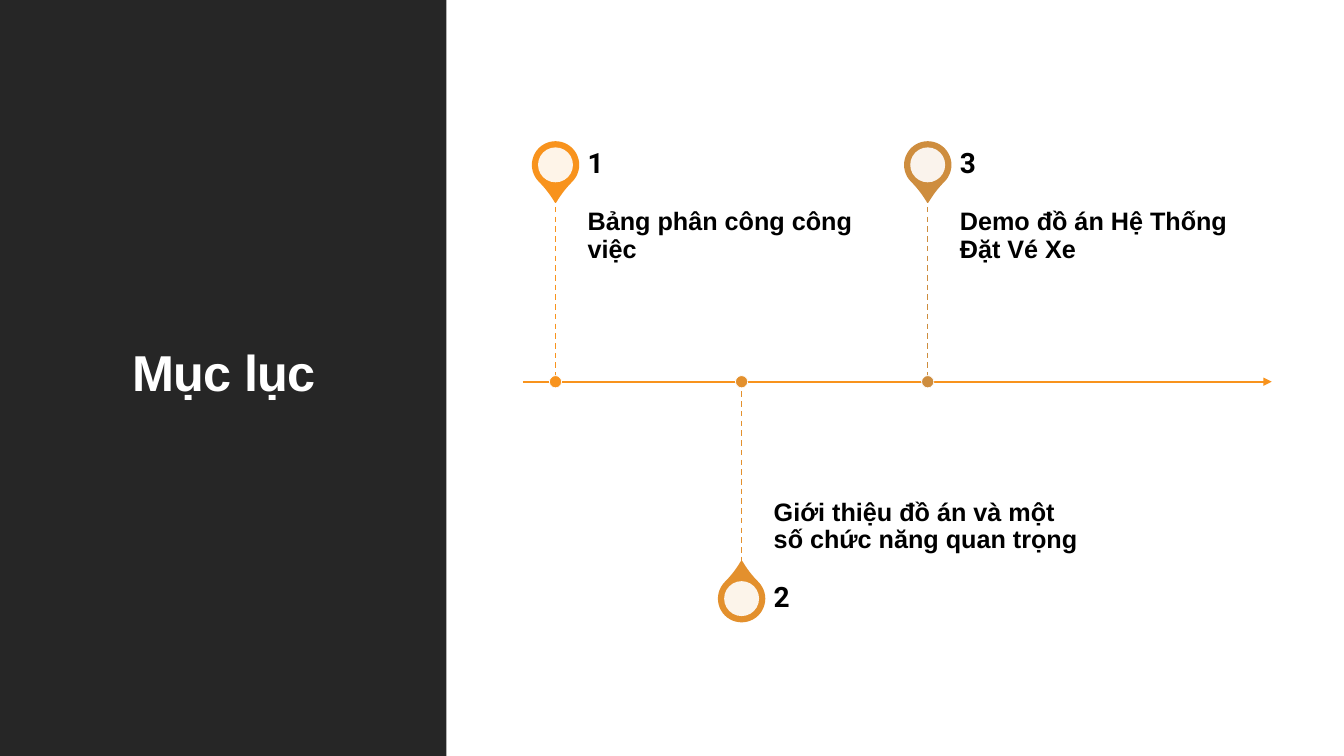
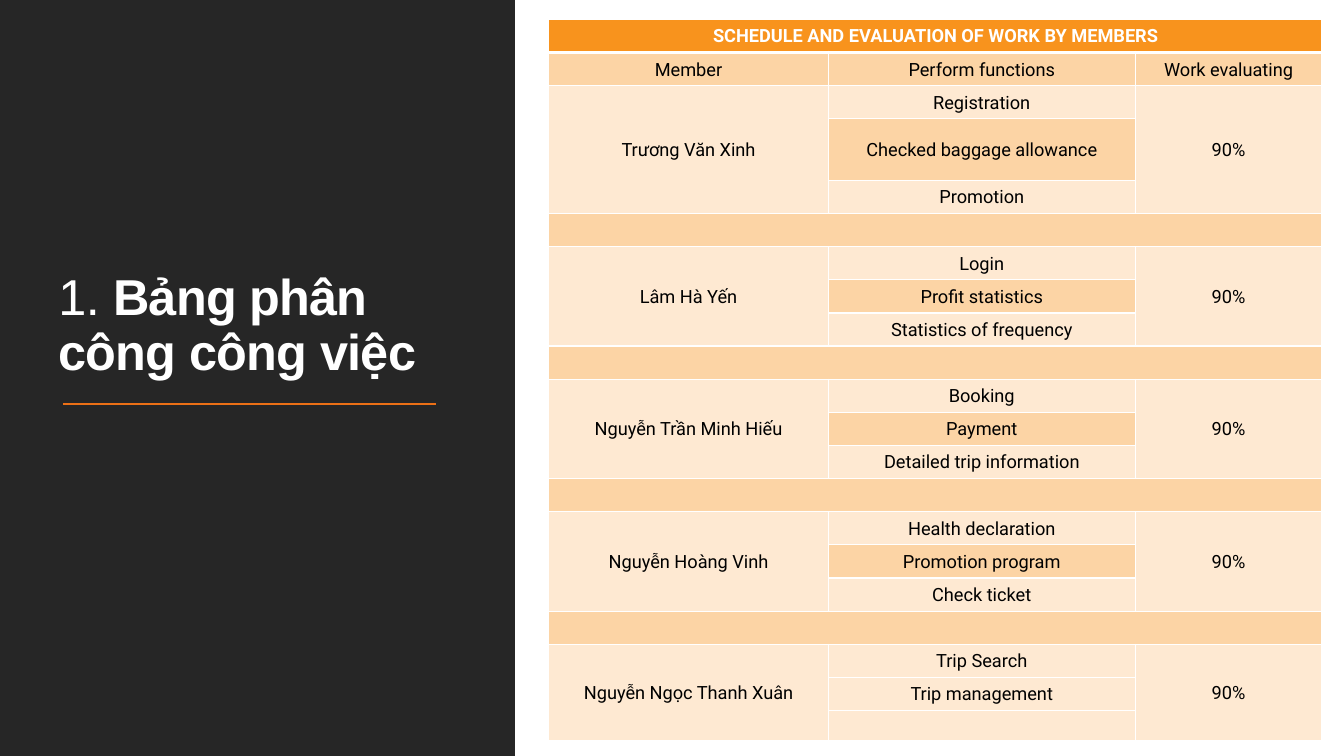
import pptx
import pptx.dml.color
import pptx.enum.dml
import pptx.enum.shapes
import pptx.enum.text
import pptx.oxml.ns
import pptx.util
from lxml import etree

Cm = pptx.util.Cm
Pt = pptx.util.Pt
RGBColor = pptx.dml.color.RGBColor
SHAPE = pptx.enum.shapes.MSO_SHAPE
ANCHOR = pptx.enum.text.MSO_ANCHOR
ALIGN = pptx.enum.text.PP_ALIGN
qn = pptx.oxml.ns.qn

WHITE = RGBColor(0xFF, 0xFF, 0xFF)
BLACK = RGBColor(0x00, 0x00, 0x00)
DARK = RGBColor(0x26, 0x26, 0x26)
ORANGE = RGBColor(0xF8, 0x93, 0x1D)
AMBER = RGBColor(0xE3, 0x90, 0x2D)
BRONZE = RGBColor(0xCE, 0x8D, 0x3E)
RULE_ORANGE = RGBColor(0xEC, 0x70, 0x16)
PEACH = RGBColor(0xFC, 0xD4, 0xA5)
CREAM = RGBColor(0xFE, 0xE9, 0xD2)


def add_shape(slide, kind, left, top, width, height, fill, line=None, line_width=1):
    shape = slide.shapes.add_shape(kind, Cm(left), Cm(top), Cm(width), Cm(height))
    shape.shadow.inherit = False
    shape.fill.solid()
    shape.fill.fore_color.rgb = fill
    if line is None:
        shape.line.fill.background()
    else:
        shape.line.color.rgb = line
        shape.line.width = Pt(line_width)
    return shape


def add_line(slide, x1, y1, x2, y2, color, width):
    line = slide.shapes.add_connector(
        pptx.enum.shapes.MSO_CONNECTOR.STRAIGHT, Cm(x1), Cm(y1), Cm(x2), Cm(y2))
    line.line.color.rgb = color
    line.line.width = Pt(width)
    etree.SubElement(line._element.spPr, qn("a:effectLst"))
    return line


presentation = pptx.Presentation()
presentation.slide_width = Cm(33.87)
presentation.slide_height = Cm(19.05)

# Dark side panel and title of every slide
title_specs = [
    (11.25, (1.37, 1.45, 8.56, 16.03), ANCHOR.MIDDLE, ALIGN.CENTER,
     [("Mục lục", True)]),
    (12.98, (1.22, 1.78, 10.16, 7.95), ANCHOR.BOTTOM, ALIGN.LEFT,
     [("1. ", False), ("Bảng phân công công việc", True)]),
]
for panel_width, box, anchor, alignment, parts in title_specs:
    slide = presentation.slides.add_slide(presentation.slide_layouts[5])
    panel = add_shape(slide, SHAPE.RECTANGLE, 0, 0, panel_width, 19.05, DARK)
    slide.shapes._spTree.insert(2, panel._element)
    title = slide.shapes.title
    title.left, title.top, title.width, title.height = [Cm(value) for value in box]
    title.text_frame.vertical_anchor = anchor
    title.text_frame.auto_size = pptx.enum.text.MSO_AUTO_SIZE.NONE
    paragraph = title.text_frame.paragraphs[0]
    paragraph.alignment = alignment
    paragraph.line_spacing = 0.9
    for text, bold in parts:
        run = paragraph.add_run()
        run.text = text
        run.font.name = "Arial"
        run.font.size = Pt(36)
        run.font.bold = bold
        run.font.color.rgb = WHITE
        run.font._element.set("spc", "-50")
contents_slide, schedule_slide = presentation.slides

# Contents: timeline axis
AXIS_Y = 9.62
axis = add_line(contents_slide, 13.18, AXIS_Y, 32.05, AXIS_Y, ORANGE, 1.5)
etree.SubElement(axis.line._get_or_add_ln(), qn("a:tailEnd"), type="triangle")

# Contents: milestones, alternately above and below the axis
FIRST_X, STEP_X = 14.0, 4.69
STEM, NUMBER_HEIGHT = 4.65, 1.63
PIN, HOLE, NODE = 1.15, 0.88, 0.31
milestones = [
    ("Bảng phân công công việc", ORANGE),
    ("Giới thiệu đồ án và một số chức năng quan trọng", AMBER),
    ("Demo đồ án Hệ Thống Đặt Vé Xe", BRONZE),
]
for index, (label, color) in enumerate(milestones):
    above = index % 2 == 0
    direction = -1 if above else 1
    x = FIRST_X + index * STEP_X
    stem_end = AXIS_Y + direction * STEM
    pin_y = stem_end + direction * NUMBER_HEIGHT / 2

    pin = add_shape(contents_slide, SHAPE.TEAR, x - PIN / 2, pin_y - PIN / 2,
                    PIN, PIN, color, color, 1.25)
    pin.adjustments[0] = 1.15
    pin.rotation = 135 if above else 315
    hole = add_shape(contents_slide, SHAPE.OVAL, x - HOLE / 2, pin_y - HOLE / 2,
                     HOLE, HOLE, WHITE)
    hole_color = hole._element.spPr.find(".//" + qn("a:srgbClr"))
    etree.SubElement(hole_color, qn("a:alpha"), val="90000")

    label_anchor = ANCHOR.TOP if above else ANCHOR.BOTTOM
    label_margins = (0.3, 0.3, 0.48) if above else (0, 0.48, 0.3)
    text_specs = [
        (label, min(AXIS_Y, stem_end), STEM, label_anchor, label_margins, "Arial", 18),
        (str(index + 1), pin_y - NUMBER_HEIGHT / 2, NUMBER_HEIGHT, ANCHOR.MIDDLE,
         (0.36, 0, 0), "Roboto", 20),
    ]
    for text, top, height, anchor, margins, font, size in text_specs:
        text_box = contents_slide.shapes.add_textbox(
            Cm(x + 0.81), Cm(top), Cm(7.82), Cm(height))
        frame = text_box.text_frame
        frame.word_wrap = True
        frame.vertical_anchor = anchor
        frame.margin_left = 0
        frame.margin_right, frame.margin_top, frame.margin_bottom = [
            Cm(margin) for margin in margins]
        frame.text = text
        paragraph = frame.paragraphs[0]
        paragraph.line_spacing = 0.9
        run = paragraph.runs[0]
        run.font.name = font
        run.font.size = Pt(size)
        run.font.bold = True
        run.font.color.rgb = BLACK

    stem = add_line(contents_slide, x, min(AXIS_Y, stem_end),
                    x, max(AXIS_Y, stem_end), color, 1)
    stem.line.dash_style = pptx.enum.dml.MSO_LINE.DASH
    add_shape(contents_slide, SHAPE.OVAL, x - NODE / 2, AXIS_Y - NODE / 2,
              NODE, NODE, color, WHITE, 0.5)

# Schedule: rule under the title
add_line(schedule_slide, 1.6, 10.19, 11, 10.19, RULE_ORANGE, 1.5)

# Schedule: rows of text and fills, three per member with a band between members
members = [
    ("Trương Văn Xinh", ["Registration", "Checked baggage allowance", "Promotion"]),
    ("Lâm Hà Yến", ["Login", "Profit statistics", "Statistics of frequency"]),
    ("Nguyễn Trần Minh Hiếu", ["Booking", "Payment", "Detailed trip information"]),
    ("Nguyễn Hoàng Vinh", ["Health declaration", "Promotion program", "Check ticket"]),
    ("Nguyễn Ngọc Thanh Xuân", ["Trip Search", "Trip management", ""]),
]
rows = [
    (["SCHEDULE AND EVALUATION OF WORK BY MEMBERS", "", ""], [ORANGE] * 3),
    (["Member", "Perform functions", "Work evaluating"], [PEACH] * 3),
]
merges = [(0, 0, 0, 2)]
for member, functions in members:
    first = len(rows)
    if first > 2:
        rows.append((["", "", ""], [PEACH] * 3))
        merges.append((first, 0, first, 2))
        first += 1
    merges += [(first, column, first + 2, column) for column in (0, 2)]
    for index, function in enumerate(functions):
        texts = [member, function, "90%"] if index == 0 else ["", function, ""]
        banded = index == 1 and all(functions)
        rows.append((texts, [CREAM, PEACH if banded else CREAM, CREAM]))

# Schedule: table
TABLE_HEIGHT, TALL_ROW, LAST_ROW = 18.19, 1.55, 0.76
column_widths = [7.04, 7.74, 4.7]
row_heights = [(TABLE_HEIGHT - TALL_ROW - LAST_ROW) / (len(rows) - 2)] * len(rows)
row_heights[3], row_heights[-1] = TALL_ROW, LAST_ROW
table = schedule_slide.shapes.add_table(
    len(rows), 3, Cm(13.83), Cm(0.49), Cm(sum(column_widths)), Cm(TABLE_HEIGHT)).table
table.first_row = False
table.horz_banding = False
for column, width in zip(table.columns, column_widths):
    column.width = Cm(width)
for row, height in zip(table.rows, row_heights):
    row.height = Cm(height)

for row_index, (texts, fills) in enumerate(rows):
    for column_index, (text, fill) in enumerate(zip(texts, fills)):
        cell = table.cell(row_index, column_index)
        cell.vertical_anchor = ANCHOR.MIDDLE
        cell.margin_left = cell.margin_right = Cm(0.15)
        cell.margin_top = cell.margin_bottom = 0
        cell.fill.solid()
        cell.fill.fore_color.rgb = fill
        paragraph = cell.text_frame.paragraphs[0]
        paragraph.alignment = ALIGN.CENTER
        paragraph.line_spacing = 1.07
        paragraph.space_after = Pt(8)
        if text:
            paragraph.text = text
            font = paragraph.runs[0].font
            font.name = "Roboto"
            font.size = Pt(13)
            font.bold = row_index == 0
            font.color.rgb = WHITE if row_index == 0 else BLACK
        else:
            etree.SubElement(paragraph._p, qn("a:endParaRPr"), sz="1300")

        # White borders, thicker under the heading
        properties = cell._tc.get_or_add_tcPr()
        for position, side in enumerate(["lnL", "lnR", "lnT", "lnB"]):
            thick = (row_index, side) in [(0, "lnB"), (1, "lnT")]
            border = etree.Element(qn("a:" + side), w=str(Pt(3 if thick else 1)))
            border_fill = etree.SubElement(border, qn("a:solidFill"))
            etree.SubElement(border_fill, qn("a:srgbClr"), val=str(WHITE))
            properties.insert(position, border)

for top, left, bottom, right in merges:
    table.cell(top, left).merge(table.cell(bottom, right))

presentation.save("out.pptx")
